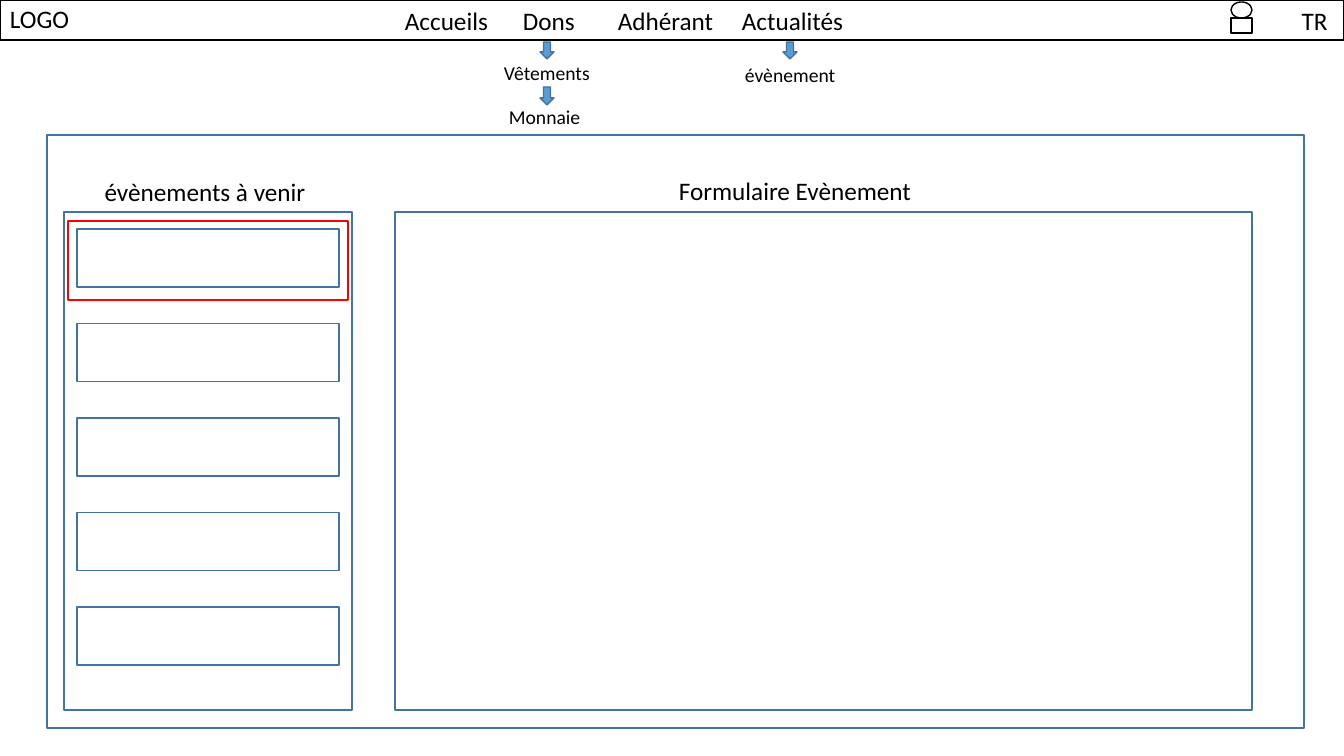
from pptx import Presentation
from pptx.dml.color import RGBColor
from pptx.enum.shapes import MSO_SHAPE as SHAPE
from pptx.enum.text import PP_ALIGN as ALIGN
from pptx.oxml.ns import qn
from pptx.util import Pt
from lxml.etree import SubElement

BLACK = RGBColor(0x00, 0x00, 0x00)
WHITE = RGBColor(0xFF, 0xFF, 0xFF)
RED = RGBColor(0xFF, 0x00, 0x00)
BLUE = RGBColor(0x5B, 0x9B, 0xD5)
DARK_BLUE = RGBColor(0x43, 0x73, 0x9E)

MENU = ["Accueils", "Dons", "Adhérant", "Actualités"]
MENU_BOX = (395, 0, 463, 40)
MENU_TABS = [118, 213, 337]

LABELS = [
    ("LOGO", (0, -2, 95, 40), 18, ALIGN.LEFT),
    ("TR", (1285, 0, 59, 40), 18, ALIGN.CENTER),
    ("Vêtements", (494, 56, 133, 34), 14, ALIGN.LEFT),
    ("Monnaie", (499, 100, 122, 34), 14, ALIGN.LEFT),
    ("évènement", (735, 58, 113, 34), 14, ALIGN.LEFT),
    ("évènements à venir", (61, 171, 288, 40), 18, ALIGN.CENTER),
    ("Formulaire Evènement", (651, 170, 288, 40), 18, ALIGN.CENTER),
]

SHAPES = [
    (SHAPE.OVAL, (1231, 2, 21, 16), WHITE, BLACK),
    (SHAPE.RECTANGLE, (1231, 18, 21, 15), WHITE, BLACK),
    (SHAPE.RECTANGLE, (0, 0, 1344, 40), None, BLACK),
    (SHAPE.RECTANGLE, (47, 135, 1257, 593), None, DARK_BLUE),
    (SHAPE.DOWN_ARROW, (540, 42, 14, 17), BLUE, DARK_BLUE),
    (SHAPE.DOWN_ARROW, (783, 42, 14, 17), BLUE, DARK_BLUE),
    (SHAPE.DOWN_ARROW, (540, 87, 14, 18), BLUE, DARK_BLUE),
    (SHAPE.RECTANGLE, (68, 221, 280, 79), None, RED),
    (SHAPE.RECTANGLE, (64, 212, 288, 498), None, DARK_BLUE),
    (SHAPE.RECTANGLE, (395, 212, 857, 498), None, DARK_BLUE),
]

CARD_COUNT = 5
CARD_X, CARD_W, CARD_H = 77, 262, 58
FIRST_CARD_Y, LAST_CARD_Y = 229, 607


def px(n):
    return round(n * 914400 / 100.8)


def add_box(slide, kind, box, fill, line):
    sp = slide.shapes.add_shape(kind, *map(px, box))
    sp.shadow.inherit = False
    if fill is None:
        sp.fill.background()
    else:
        sp.fill.solid()
        sp.fill.fore_color.rgb = fill
    sp.line.color.rgb = line
    sp.line.width = Pt(1)


def add_label(slide, text, box, size, align):
    tf = slide.shapes.add_textbox(*map(px, box)).text_frame
    tf.word_wrap = True
    p = tf.paragraphs[0]
    p.text = text
    p.alignment = align
    for r in p.runs:
        r.font.name = "Calibri"
        r.font.size = Pt(size)
        r.font.color.rgb = BLACK
    return p


def add_menu(slide):
    p = add_label(slide, "\t".join(MENU), MENU_BOX, 18, ALIGN.LEFT)
    tabs = SubElement(p._p.get_or_add_pPr(), qn("a:tabLst"))
    for x in MENU_TABS:
        SubElement(tabs, qn("a:tab"), pos=str(px(x)), algn="l")


def main():
    prs = Presentation()
    prs.slide_width, prs.slide_height = px(1344), px(756)
    s = prs.slides.add_slide(prs.slide_layouts[6])
    for shape in SHAPES:
        add_box(s, *shape)
    pitch = (LAST_CARD_Y - FIRST_CARD_Y) / (CARD_COUNT - 1)
    for i in range(CARD_COUNT):
        box = (CARD_X, FIRST_CARD_Y + i * pitch, CARD_W, CARD_H)
        add_box(s, SHAPE.RECTANGLE, box, None, DARK_BLUE)
    add_menu(s)
    for label in LABELS:
        add_label(s, *label)
    prs.save("out.pptx")


if __name__ == "__main__":
    main()
